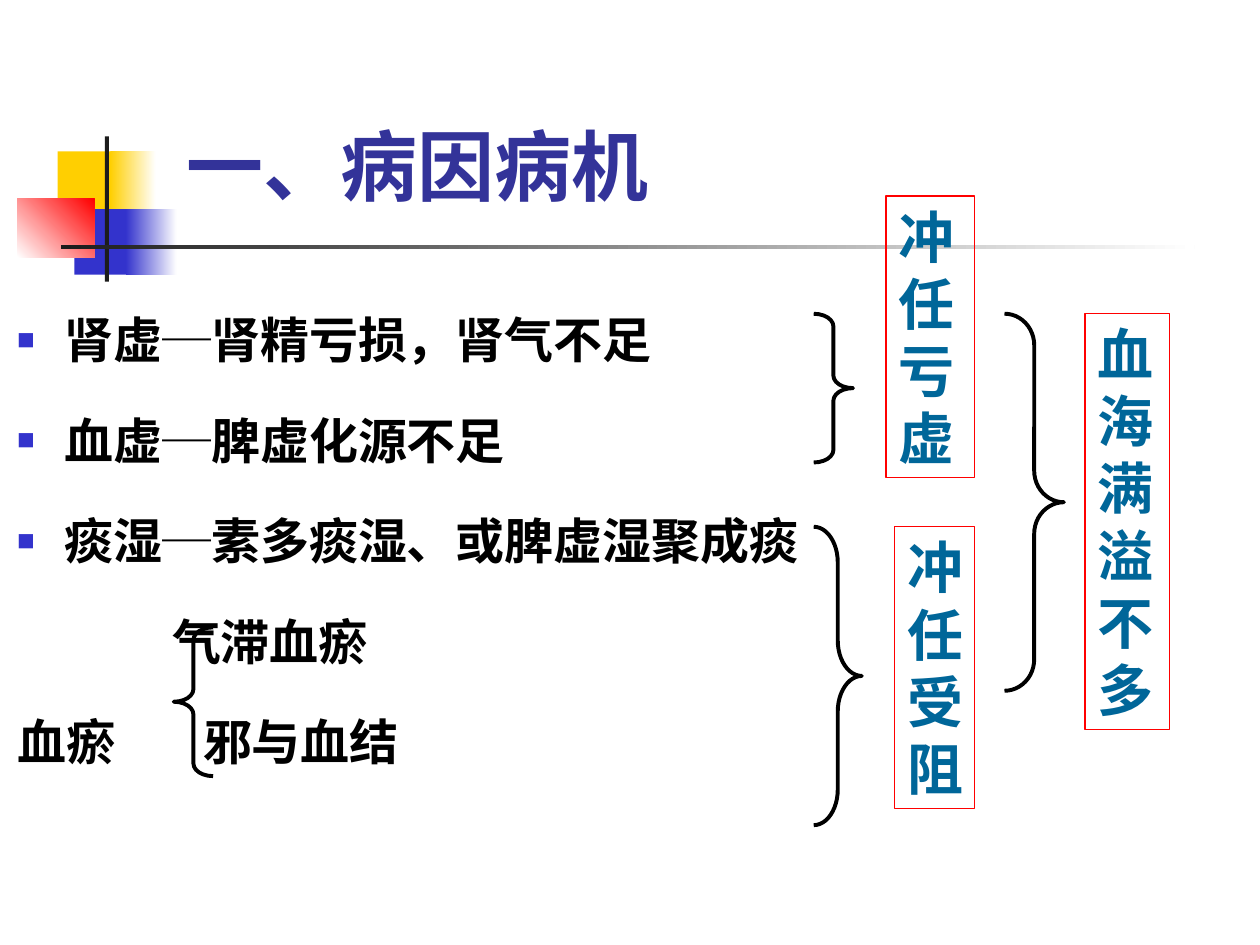
"""Build a slide on causes and mechanisms, with braces leading to the outcomes."""
from lxml.etree import SubElement
from pptx import Presentation
from pptx.dml.color import RGBColor
from pptx.enum.shapes import MSO_SHAPE
from pptx.enum.text import MSO_ANCHOR, MSO_AUTO_SIZE, PP_ALIGN
from pptx.oxml.ns import qn
from pptx.util import Pt


def write(paragraph, text, size, color, font="Cabin", bullet=None, margin=0, indent=0,
          spacing=None, before=0):
    properties = paragraph._p.get_or_add_pPr()
    properties.set("marL", str(Pt(margin)))
    properties.set("indent", str(Pt(indent)))
    paragraph.alignment = PP_ALIGN.LEFT
    paragraph.line_spacing = spacing
    paragraph.space_before = Pt(before)
    if bullet:
        bullet_color = SubElement(properties, qn("a:buClr"))
        SubElement(bullet_color, qn("a:srgbClr"), val="3333CC")
        SubElement(properties, qn("a:buSzPct"), val="60000")
        SubElement(properties, qn("a:buChar"), char=bullet)
    else:
        SubElement(properties, qn("a:buNone"))
    run = paragraph.add_run()
    run.text = text
    run.font.name = font
    run.font.size = Pt(size)
    run.font.bold = True
    run.font.color.rgb = RGBColor.from_string(color)


def add_shape(kind, box, colors=(), angle=0, line=None, width=0.75):
    shape = slide.shapes.add_shape(kind, *map(Pt, box))
    shape.shadow.inherit = False
    if len(colors) == 2:
        shape.fill.gradient()
        shape.fill.gradient_angle = angle
        for stop, color in zip(shape.fill.gradient_stops, colors):
            stop.color.rgb = RGBColor.from_string(color)
    elif colors:
        shape.fill.solid()
        shape.fill.fore_color.rgb = RGBColor.from_string(colors[0])
    else:
        shape.fill.background()
    if line:
        shape.line.color.rgb = RGBColor.from_string(line)
        shape.line.width = Pt(width)
    else:
        shape.line.fill.background()
    return shape


presentation = Presentation()
presentation.slide_width, presentation.slide_height = Pt(720), Pt(540)
slide = presentation.slides.add_slide(presentation.slide_layouts[1])
title, body = slide.placeholders

for placeholder, box, anchor in [
    (title, (99.4, 49, 499, 90), MSO_ANCHOR.MIDDLE),
    (body, (2.6, 156.6, 484, 345.5), MSO_ANCHOR.TOP),
]:
    placeholder.left, placeholder.top, placeholder.width, placeholder.height = map(Pt, box)
    placeholder.text_frame.auto_size = MSO_AUTO_SIZE.NONE
    placeholder.text_frame.vertical_anchor = anchor
    placeholder.text_frame.word_wrap = True

write(title.text_frame.paragraphs[0], "一、病因病机", 44, "333399")

bulleted = {"bullet": "■", "margin": 27, "indent": -27}
causes = [
    ("肾虚─肾精亏损，肾气不足", bulleted),
    ("血虚─脾虚化源不足", bulleted),
    ("痰湿─素多痰湿、或脾虚湿聚成痰", bulleted),
    ("气滞血瘀", {"margin": 88.5}),
    ("血瘀", {}),
]
for index, (text, layout) in enumerate(causes):
    frame = body.text_frame
    paragraph = frame.add_paragraph() if index else frame.paragraphs[0]
    write(paragraph, text, 28, "000000", spacing=1.5, before=7 if index else 0, **layout)

stasis_cause = slide.shapes.add_textbox(Pt(109), Pt(386.3), Pt(150), Pt(72))
stasis_cause.text_frame.word_wrap = True
write(stasis_cause.text_frame.paragraphs[0], "邪与血结", 28, "000000", spacing=1.5)

for box, colors, angle in [
    ((33, 86.5, 34.5, 37.5), ["FFCF01"], 0),
    ((63, 86.5, 26, 37.5), ["FFCF01", "FFFFFF"], 0),
    ((42.5, 119.5, 33, 37.5), ["3333CC"], 0),
    ((72, 119.5, 29, 37.5), ["3333CC", "FFFFFF"], 0),
    ((10, 113.7, 44, 33.3), ["FFFFFF", "FF0000"], 45),
    ((60, 78, 2.2, 83), ["1C1C1C"], 0),
    ((34.7, 140, 648, 2.5), ["1C1C1C", "FFFFFF"], 0),
]:
    add_shape(MSO_SHAPE.RECTANGLE, box, colors, angle)

for text, box in [
    ("冲任受阻", (511.2, 301, 45.6, 161)),
    ("冲任亏虚", (506.3, 112, 50.5, 161)),
    ("血海满溢不多", (620, 179, 48.2, 238)),
]:
    outcome = add_shape(MSO_SHAPE.RECTANGLE, box, line="FF0000")
    outcome.text_frame.word_wrap = True
    outcome.text_frame.vertical_anchor = MSO_ANCHOR.TOP
    outcome.text_frame.auto_size = MSO_AUTO_SIZE.SHAPE_TO_FIT_TEXT
    write(outcome.text_frame.paragraphs[0], text, 32, "006699", font="Arial")

for kind, box, curl in [
    (MSO_SHAPE.LEFT_BRACE, (99.3, 358.5, 22.5, 85), 0.32),
    (MSO_SHAPE.RIGHT_BRACE, (465, 179.3, 22.5, 85), 0.32),
    (MSO_SHAPE.RIGHT_BRACE, (465, 301, 27.5, 170.5), 0.74),
    (MSO_SHAPE.RIGHT_BRACE, (574, 179.3, 34, 215.5), 0.53),
]:
    brace = add_shape(kind, box, line="000000", width=2.25)
    brace.adjustments[0] = curl

presentation.save("out.pptx")
